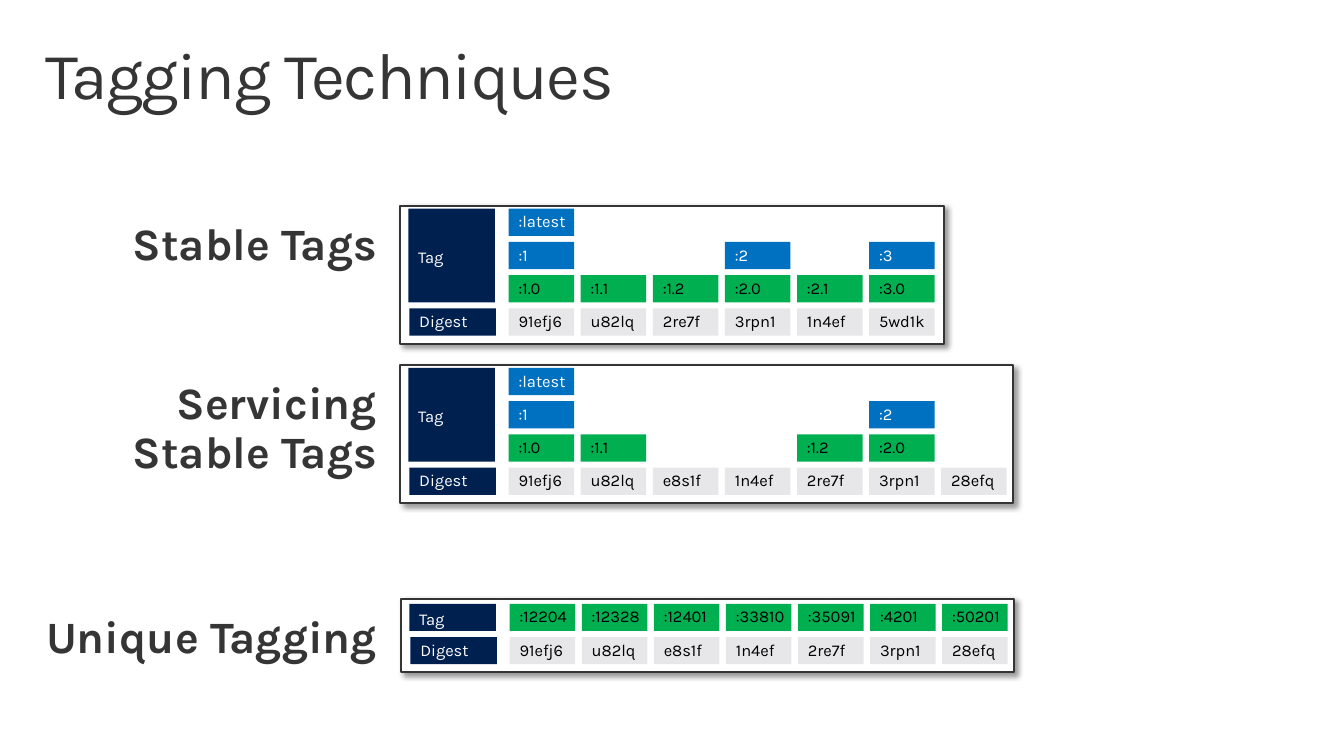
from pptx import Presentation
from pptx.dml.color import RGBColor
from pptx.enum.shapes import MSO_SHAPE as SHAPE
from pptx.enum.text import MSO_ANCHOR as ANCHOR, MSO_AUTO_SIZE as AUTO, PP_ALIGN as ALIGN
from pptx.oxml import parse_xml
from pptx.oxml.ns import nsdecls
from pptx.util import Inches, Pt

FONT = "Karla"
INK, WHITE, BLACK = "353535", "FFFFFF", "000000"
NAVY, BLUE, GREEN, GREY = "002050", "0070C0", "00B050", "E7E7E9"
TEXT_COLOR = {BLUE: WHITE, GREEN: BLACK, GREY: BLACK}

COL, ROW = 0.715, 0.33
CELL_W, CELL_H, HEAD_W = 0.65, 0.27, 0.86
HEAD_X, CELLS_X = 0.08, 1.075

PANELS = [
    ("Stable Tags", 3.97, 2.04, 0.03, [
        (BLUE, [":latest"]),
        (BLUE, [":1", "", "", ":2", "", ":3"]),
        (GREEN, [":1.0", ":1.1", ":1.2", ":2.0", ":2.1", ":3.0"]),
        (GREY, ["91efj6", "u82lq", "2re7f", "3rpn1", "1n4ef", "5wd1k"]),
    ]),
    ("Servicing\nStable Tags", 3.97, 3.62, 0.03, [
        (BLUE, [":latest"]),
        (BLUE, [":1", "", "", "", "", ":2"]),
        (GREEN, [":1.0", ":1.1", "", "", ":1.2", ":2.0"]),
        (GREY, ["91efj6", "u82lq", "e8s1f", "1n4ef", "2re7f", "3rpn1", "28efq"]),
    ]),
    ("Unique Tagging", 3.98, 5.94, 0.05, [
        (GREEN, [":12204", ":12328", ":12401", ":33810", ":35091", ":4201", ":50201"]),
        (GREY, ["91efj6", "u82lq", "e8s1f", "1n4ef", "2re7f", "3rpn1", "28efq"]),
    ]),
]


def rgb(value):
    """Turn a hex string into a colour."""
    return RGBColor.from_string(value)


def set_frame(tf, margins, anchor=ANCHOR.TOP):
    """Set wrapping, insets (left, top, right, bottom) and anchor of a text frame."""
    tf.word_wrap = True
    tf.vertical_anchor = anchor
    tf.margin_left, tf.margin_top, tf.margin_right, tf.margin_bottom = map(Inches, margins)


def write(tf, text, size, color, align=ALIGN.LEFT, bold=False, spacing=0):
    """Write one paragraph, a run for each line of the text."""
    p = tf.paragraphs[0]
    p.alignment, p.line_spacing = align, 0.9
    for i, line in enumerate(text.split("\n")):
        if i:
            p.add_line_break()
        r = p.add_run()
        r.text = line
        r.font.name, r.font.size, r.font.bold = FONT, Pt(size), bold
        r.font.color.rgb = rgb(color)
        if spacing:
            r._r.get_or_add_rPr().set("spc", str(spacing))
    return p


def add_box(s, x, y, w, h, fill):
    """Add a flat filled rectangle."""
    sp = s.shapes.add_shape(SHAPE.RECTANGLE, *map(Inches, (x, y, w, h)))
    sp.shadow.inherit = False
    sp.fill.solid()
    sp.fill.fore_color.rgb = rgb(fill)
    sp.line.fill.background()
    return sp


def add_cell(s, x, y, w, h, fill, text, color, anchor=ANCHOR.TOP):
    """Add a filled rectangle with a small left-aligned label."""
    tf = add_box(s, x, y, w, h, fill).text_frame
    set_frame(tf, (0.1, 0.05, 0, 0), anchor)
    write(tf, text, 11.8, color)


def add_frame(s, x, y, w, h):
    """Add a white outlined panel with a soft shadow."""
    sp = add_box(s, x, y, w, h, WHITE)
    sp.line.color.rgb = rgb(INK)
    sp.line.width = Pt(1.5)
    effects = sp._element.spPr.find("{*}effectLst")
    effects.append(parse_xml(
        f'<a:outerShdw {nsdecls("a")} blurRad="{Pt(4)}" dist="{Pt(3)}" dir="2700000" '
        f'algn="tl" rotWithShape="0"><a:srgbClr val="{BLACK}"><a:alpha val="40000"/>'
        '</a:srgbClr></a:outerShdw>'))


def add_title(s, text):
    """Add the slide title."""
    tf = s.shapes.add_textbox(*map(Inches, (0.29, 0.32, 12.75, 0.98))).text_frame
    set_frame(tf, (0.16, 0.1, 0.16, 0.1))
    write(tf, text, 47, INK, spacing=-100)


def add_label(s, y, text):
    """Add the bold heading to the left of a panel."""
    height = 0.81 + 0.48 * text.count("\n")
    tf = s.shapes.add_textbox(*map(Inches, (0.25, y, 3.69, height))).text_frame
    set_frame(tf, (0.2, 0.16, 0.2, 0.16))
    tf.auto_size = AUTO.SHAPE_TO_FIT_TEXT
    write(tf, text, 32, INK, ALIGN.RIGHT, bold=True).space_after = Pt(6)


def add_panel(s, x, y, pad, rows):
    """Add a panel whose last row holds digests and whose other rows hold tags."""
    columns, tag_rows = len(rows[-1][1]), len(rows) - 1
    top, head = y + pad, x + HEAD_X
    add_frame(s, x, y, 1.25 + 0.69 * columns, len(rows) * ROW + pad + 0.02)
    add_cell(s, head, top, HEAD_W, tag_rows * ROW - 0.06, NAVY, "Tag", WHITE, ANCHOR.MIDDLE)
    add_cell(s, head + 0.01, top + tag_rows * ROW, HEAD_W, CELL_H, NAVY, "Digest", WHITE)
    for i, (fill, names) in enumerate(rows):
        for j, name in enumerate(names):
            if name:
                add_cell(s, x + CELLS_X + j * COL, top + i * ROW, CELL_W, CELL_H,
                         fill, name, TEXT_COLOR[fill])


def main():
    """Build and save the slide."""
    prs = Presentation()
    prs.slide_width, prs.slide_height = Inches(13.33), Inches(7.5)
    s = prs.slides.add_slide(prs.slide_layouts[6])
    add_title(s, "Tagging Techniques")
    for label, x, y, pad, rows in PANELS:
        add_panel(s, x, y, pad, rows)
        add_label(s, y, label)
    prs.save("out.pptx")


if __name__ == "__main__":
    main()
